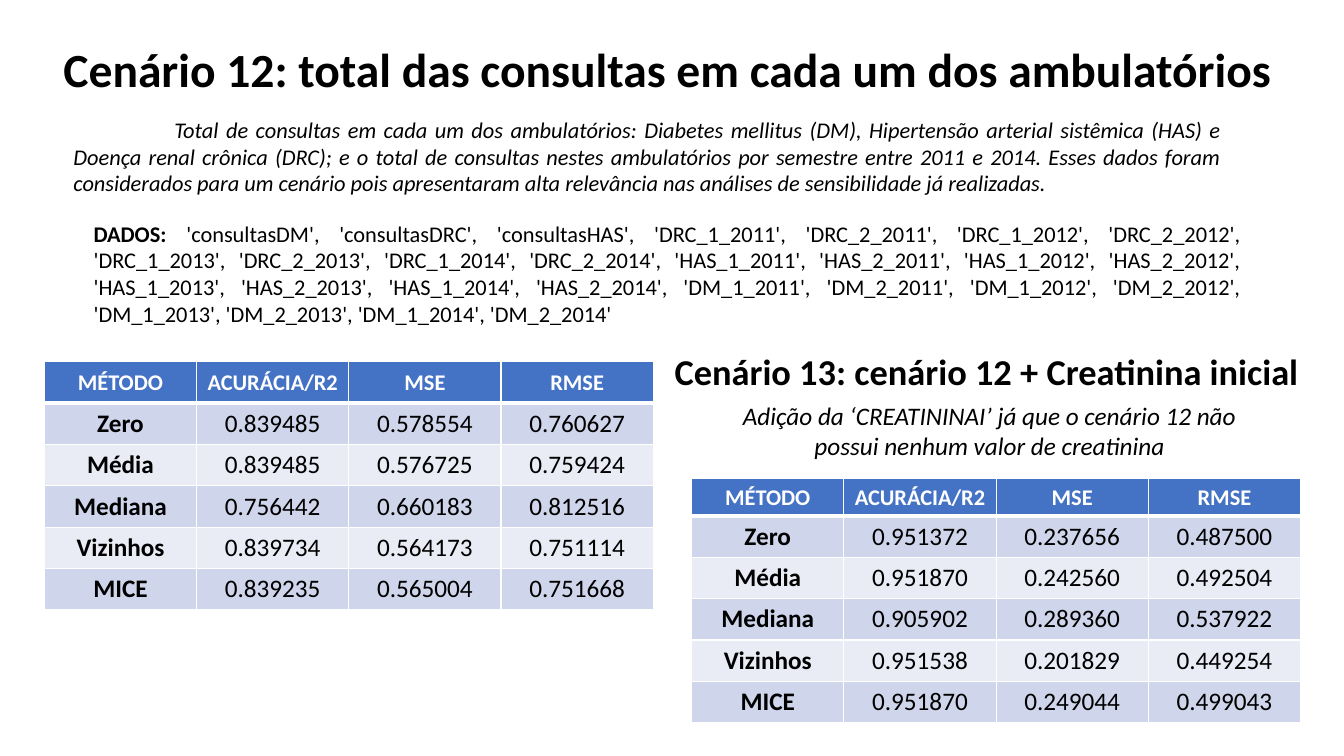
import dataclasses

import lxml.etree
import pptx
import pptx.dml.color
import pptx.enum.text
import pptx.oxml.ns
import pptx.slide
import pptx.table
import pptx.text.text
import pptx.util

Inches = pptx.util.Inches
Align = pptx.enum.text.PP_ALIGN

FONT = "Calibri"
BLACK, WHITE = "000000", "FFFFFF"
HEADER_FILL = "4472C4"
BAND_FILLS = ("CFD5EA", "E9EBF5")

HEADINGS = ("MÉTODO", "ACURÁCIA/R2", "MSE", "RMSE")
METHODS = ("Zero", "Média", "Mediana", "Vizinhos", "MICE")
COLUMN_WIDTH = 1.51
ROW_HEIGHT = 0.41


@dataclasses.dataclass(frozen=True)
class TextBlock:
    left: float
    top: float
    width: float
    height: float
    text: str
    size: int
    lead: str = ""
    bold: bool = False
    italic: bool = False
    align: Align = Align.CENTER
    indent: float = 0


@dataclasses.dataclass(frozen=True)
class ResultTable:
    left: float
    top: float
    header_height: float
    scores: tuple[tuple[str, str, str], ...]


def color(value: str) -> pptx.dml.color.RGBColor:
    return pptx.dml.color.RGBColor.from_string(value)


def write(paragraph: pptx.text.text._Paragraph, text: str, *, size: int,
          fill: str = BLACK, bold: bool = False, italic: bool = False,
          align: Align = Align.CENTER) -> None:
    paragraph.alignment = align
    run = paragraph.add_run()
    run.text = text
    font = run.font
    font.name, font.size = FONT, pptx.util.Pt(size)
    font.bold, font.italic = bold, italic
    font.color.rgb = color(fill)


def draw_text(slide: pptx.slide.Slide, block: TextBlock) -> None:
    box = slide.shapes.add_textbox(Inches(block.left), Inches(block.top),
                                   Inches(block.width), Inches(block.height))
    box.text_frame.word_wrap = True
    paragraph = box.text_frame.paragraphs[0]
    if block.indent:
        paragraph._p.get_or_add_pPr().set("indent", str(Inches(block.indent)))
    if block.lead:
        write(paragraph, block.lead, size=block.size, bold=True, align=block.align)
    write(paragraph, block.text, size=block.size, bold=block.bold,
          italic=block.italic, align=block.align)


def add_borders(cell: pptx.table._Cell, bottom: int) -> None:
    properties = cell._tc.get_or_add_tcPr()
    qn = pptx.oxml.ns.qn
    for side, points in (("L", 1), ("R", 1), ("T", 1), ("B", bottom)):
        line = lxml.etree.SubElement(properties, qn(f"a:ln{side}"),
                                     w=str(pptx.util.Pt(points)))
        fill = lxml.etree.SubElement(line, qn("a:solidFill"))
        lxml.etree.SubElement(fill, qn("a:srgbClr"), val=WHITE)


def draw_table(slide: pptx.slide.Slide, results: ResultTable) -> None:
    rows = [HEADINGS] + [(method, *scores)
                         for method, scores in zip(METHODS, results.scores)]
    heights = [results.header_height] + [ROW_HEIGHT] * len(METHODS)
    table = slide.shapes.add_table(
        len(rows), len(HEADINGS), Inches(results.left), Inches(results.top),
        Inches(COLUMN_WIDTH * len(HEADINGS)), Inches(sum(heights))).table
    for column in table.columns:
        column.width = Inches(COLUMN_WIDTH)
    for r, (values, height) in enumerate(zip(rows, heights)):
        table.rows[r].height = Inches(height)
        header = r == 0
        for c, value in enumerate(values):
            cell = table.cell(r, c)
            add_borders(cell, bottom=3 if header else 1)
            cell.fill.solid()
            cell.fill.fore_color.rgb = color(
                HEADER_FILL if header else BAND_FILLS[(r - 1) % 2])
            cell.vertical_anchor = pptx.enum.text.MSO_ANCHOR.MIDDLE
            write(cell.text_frame.paragraphs[0], value, size=16 if header else 18,
                  fill=WHITE if header else BLACK, bold=header or c == 0)


# Data fields: totals per clinic, then one per clinic, year and semester
FIELDS = [f"consultas{clinic}" for clinic in ("DM", "DRC", "HAS")] + [
    f"{clinic}_{semester}_{year}" for clinic in ("DRC", "HAS", "DM")
    for year in range(2011, 2015) for semester in (1, 2)]

TEXT_BLOCKS = (
    # Scenario 12
    TextBlock(0.45, 0.35, 12.34, 0.67,
              "Cenário 12: total das consultas em cada um dos ambulatórios",
              34, bold=True),
    TextBlock(0.63, 1.1, 11.58, 0.91,
              "Total de consultas em cada um dos ambulatórios: Diabetes mellitus (DM), "
              "Hipertensão arterial sistêmica (HAS) e Doença renal crônica (DRC); e o "
              "total de consultas nestes ambulatórios por semestre entre 2011 e 2014. "
              "Esses dados foram considerados para um cenário pois apresentaram alta "
              "relevância nas análises de sensibilidade já realizadas.",
              16, italic=True, align=Align.JUSTIFY, indent=1),
    TextBlock(0.83, 2.13, 11.58, 1.18, ", ".join(f"'{field}'" for field in FIELDS),
              16, lead="DADOS: ", align=Align.JUSTIFY),
    # Scenario 13
    TextBlock(6.47, 3.41, 6.64, 0.54, "Cenário 13: cenário 12 + Creatinina inicial",
              26, bold=True),
    TextBlock(7.1, 3.92, 5.43, 0.71,
              "Adição da ‘CREATININAI’ já que o cenário 12 não possui nenhum valor "
              "de creatinina", 18, italic=True),
)

RESULT_TABLES = (
    # Scenario 12
    ResultTable(0.44, 3.59, ROW_HEIGHT, (
        ("0.839485", "0.578554", "0.760627"),
        ("0.839485", "0.576725", "0.759424"),
        ("0.756442", "0.660183", "0.812516"),
        ("0.839734", "0.564173", "0.751114"),
        ("0.839235", "0.565004", "0.751668"))),
    # Scenario 13
    ResultTable(6.86, 4.75, 0.37, (
        ("0.951372", "0.237656", "0.487500"),
        ("0.951870", "0.242560", "0.492504"),
        ("0.905902", "0.289360", "0.537922"),
        ("0.951538", "0.201829", "0.449254"),
        ("0.951870", "0.249044", "0.499043"))),
)


def main() -> None:
    deck = pptx.Presentation()
    deck.slide_width, deck.slide_height = Inches(13.33), Inches(7.5)
    slide = deck.slides.add_slide(deck.slide_layouts[6])
    for block in TEXT_BLOCKS:
        draw_text(slide, block)
    for results in RESULT_TABLES:
        draw_table(slide, results)
    deck.save("out.pptx")


if __name__ == "__main__":
    main()
